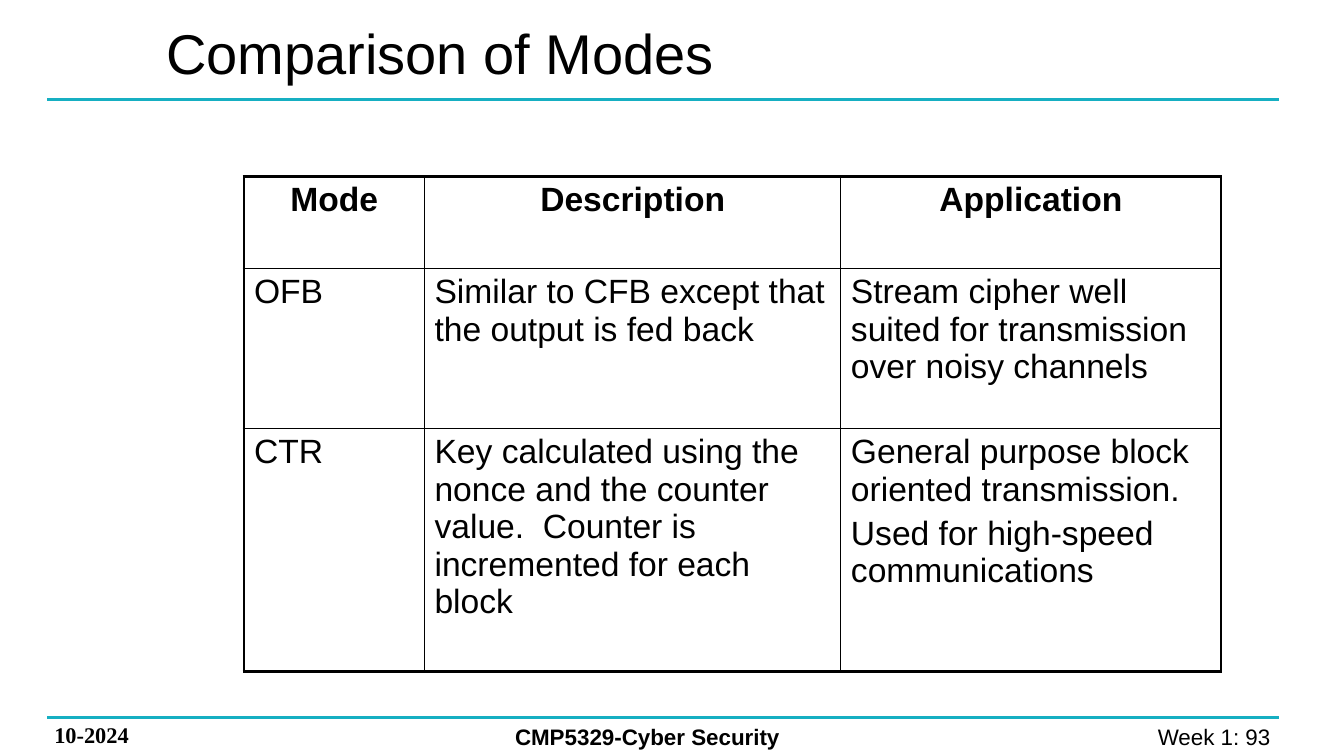
"""Build the slide comparing the OFB and CTR block cipher modes."""
import pptx
import pptx.dml.color
import pptx.enum.shapes
import pptx.enum.text
import pptx.oxml
import pptx.oxml.ns
import pptx.util
from pptx.util import Inches

BLACK = pptx.dml.color.RGBColor(0x00, 0x00, 0x00)
TEAL = pptx.dml.color.RGBColor(0x16, 0xAF, 0xC2)
LEFT = pptx.enum.text.PP_ALIGN.LEFT
CENTER = pptx.enum.text.PP_ALIGN.CENTER
RIGHT = pptx.enum.text.PP_ALIGN.RIGHT
TOP = pptx.enum.text.MSO_ANCHOR.TOP
MIDDLE = pptx.enum.text.MSO_ANCHOR.MIDDLE
OUTER_WIDTH, INNER_WIDTH = 2.25, 1


def add_text(paragraph, text, size, font="Arial", bold=False, align=LEFT):
    paragraph.alignment = align
    run = paragraph.add_run()
    run.text = text
    run.font.name = font
    run.font.size = pptx.util.Pt(size)
    run.font.bold = bold
    run.font.color.rgb = BLACK


def add_border(cell, side, width):
    cell._tc.get_or_add_tcPr().append(pptx.oxml.parse_xml(
        f'<a:{side} {pptx.oxml.ns.nsdecls("a")} w="{pptx.util.Pt(width)}">'
        f'<a:solidFill><a:srgbClr val="{BLACK}"/></a:solidFill></a:{side}>'))


presentation = pptx.Presentation()
presentation.slide_width = Inches(13.33)
presentation.slide_height = Inches(7.5)
slide = presentation.slides.add_slide(presentation.slide_layouts[6])

for rule_top in (0.99, 7.12):
    rule = slide.shapes.add_connector(
        pptx.enum.shapes.MSO_CONNECTOR.STRAIGHT,
        Inches(0.47), Inches(rule_top), Inches(12.69), Inches(rule_top))
    rule.line.color.rgb = TEAL
    rule.line.width = pptx.util.Pt(2.25)
    rule._element.spPr.append(pptx.oxml.parse_xml(
        f'<a:effectLst {pptx.oxml.ns.nsdecls("a")}/>'))

labels = [
    ("Week 1: 93 ", 9.82, 7.12, 2.94, 0.37, 16, "Arial", False, RIGHT, TOP),
    ("10-2024", 0.44, 7.11, 1.78, 0.37, 16, "Times New Roman", True, LEFT, TOP),
    ("CMP5329-Cyber Security", 5.01, 7.12, 4.09, 0.37, 16, "Arial", True, LEFT, TOP),
    ("Comparison of Modes", 1.55, 0, 9, 1.03, 40, "Arial", False, LEFT, MIDDLE),
]
for text, left, top, width, height, size, font, bold, align, anchor in labels:
    box = slide.shapes.add_textbox(
        Inches(left), Inches(top), Inches(width), Inches(height))
    box.text_frame.word_wrap = True
    box.text_frame.vertical_anchor = anchor
    add_text(box.text_frame.paragraphs[0], text, size, font, bold, align)

modes = [
    [["Mode"], ["Description"], ["Application"]],
    [["OFB"],
     ["Similar to CFB except that the output is fed back"],
     ["Stream cipher well suited for transmission over noisy channels"]],
    [["CTR"],
     ["Key calculated using the nonce and the counter value.  "
      "Counter is incremented for each block"],
     ["General purpose block oriented transmission.",
      "Used for high-speed communications"]],
]
column_widths = [1.79, 4.13, 3.77]
row_heights = [0.91, 1.59, 2.41]
table = slide.shapes.add_table(
    len(modes), len(column_widths), Inches(2.42), Inches(1.75),
    Inches(sum(column_widths)), Inches(sum(row_heights))).table
table.first_row = False
table.horz_banding = False
for column, width in zip(table.columns, column_widths):
    column.width = Inches(width)

last_row, last_column = len(modes) - 1, len(column_widths) - 1
for row_index, row in enumerate(modes):
    table.rows[row_index].height = Inches(row_heights[row_index])
    is_header = row_index == 0
    for column_index, lines in enumerate(row):
        cell = table.cell(row_index, column_index)
        edges = {"lnL": column_index == 0, "lnR": column_index == last_column,
                 "lnT": row_index == 0, "lnB": row_index == last_row}
        for side, is_outer in edges.items():
            add_border(cell, side, OUTER_WIDTH if is_outer else INNER_WIDTH)
        cell.fill.background()
        for line_index, line in enumerate(lines):
            if line_index == 0:
                paragraph = cell.text_frame.paragraphs[0]
            else:
                paragraph = cell.text_frame.add_paragraph()
                paragraph.space_before = pptx.util.Pt(4.8)
            add_text(paragraph, line, 24, bold=is_header,
                     align=CENTER if is_header else LEFT)

presentation.save("out.pptx")
